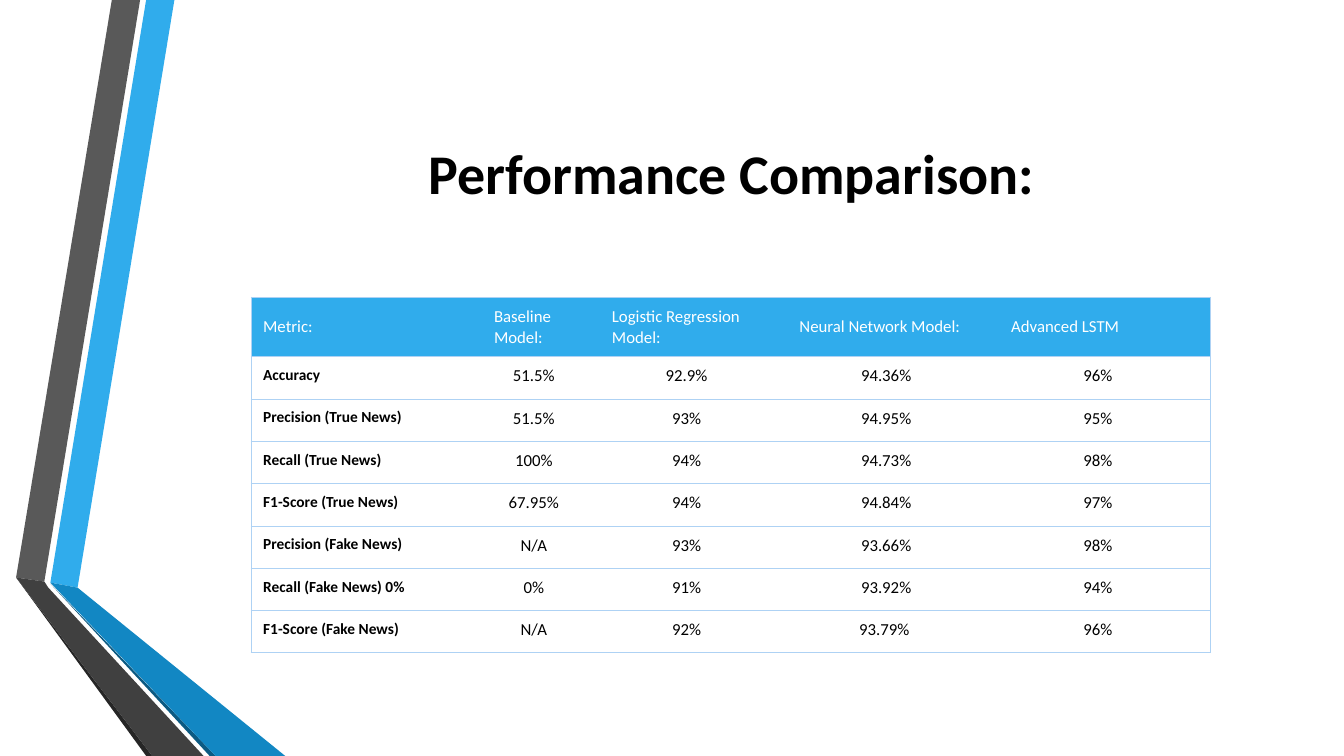
"""Build the performance comparison slide with its ribbon decoration and metric table."""
import dataclasses

import lxml.etree
import pptx
import pptx.dml.color
import pptx.enum.text
import pptx.oxml.ns
import pptx.presentation
import pptx.slide
import pptx.table
import pptx.text.text
import pptx.util

Inches = pptx.util.Inches
Anchor = pptx.enum.text.MSO_ANCHOR
Align = pptx.enum.text.PP_ALIGN


@dataclasses.dataclass(frozen=True)
class Theme:
    font: str = "Calibri"
    black: str = "000000"
    white: str = "FFFFFF"
    blue: str = "30ACEC"
    blue_fold: str = "1287C3"
    blue_shade: str = "0C5A82"
    gray: str = "595959"
    gray_fold: str = "404040"
    gray_shade: str = "262626"
    border: str = "AED2F4"
    border_width: float = 0.75
    title_size: float = 40
    value_size: float = 12
    metric_size: float = 11


@dataclasses.dataclass(frozen=True)
class Ribbon:
    color: str
    points: tuple[tuple[float, float], ...]


@dataclasses.dataclass(frozen=True)
class TextStyle:
    size: float
    color: str
    bold: bool = False
    align: Align = Align.LEFT
    anchor: Anchor = Anchor.TOP


THEME = Theme()
TITLE = TextStyle(THEME.title_size, THEME.black, True, Align.CENTER, Anchor.MIDDLE)
HEADER = TextStyle(THEME.value_size, THEME.white, anchor=Anchor.MIDDLE)
METRIC = TextStyle(THEME.metric_size, THEME.black, bold=True)
VALUE = TextStyle(THEME.value_size, THEME.black, align=Align.CENTER)

RIBBONS = (
    Ribbon(THEME.blue, ((0.5, 5.78), (0.77, 5.83), (1.73, 0), (1.45, 0))),
    Ribbon(THEME.gray, ((1.39, 0), (1.11, 0), (0.16, 5.73), (0.44, 5.77))),
    Ribbon(THEME.gray_shade, ((0.16, 5.73), (1.45, 7.5), (1.51, 7.5))),
    Ribbon(THEME.blue_shade, ((0.5, 5.79), (2.08, 7.5), (2.14, 7.5))),
    Ribbon(THEME.blue_fold, ((0.5, 5.78), (2.14, 7.5), (2.83, 7.5), (0.77, 5.83))),
    Ribbon(THEME.gray_fold, ((2.02, 7.5), (0.48, 5.83), (0.44, 5.77), (0.16, 5.73), (1.51, 7.5))),
)

COLUMN_WIDTHS = (2.29, 1.17, 1.86, 2.1, 2.1)
HEADER_HEIGHT = 0.59
ROW_HEIGHT = 0.42
ROWS = (
    ("Metric:", "Baseline Model:", "Logistic Regression Model:", "Neural Network Model:", "Advanced LSTM"),
    ("Accuracy", "51.5%", "92.9%", "94.36%", "96%"),
    ("Precision (True News)", "51.5%", "93%", "94.95%", "95%"),
    ("Recall (True News)", "100%", "94%", "94.73%", "98%"),
    ("F1-Score (True News)", "67.95%", "94%", "94.84%", "97%"),
    ("Precision (Fake News)", "N/A", "93%", "93.66%", "98%"),
    ("Recall (Fake News) 0%", "0%", "91%", "93.92%", "94%"),
    ("F1-Score (Fake News)", "N/A", "92%", "93.79% ", "96%"),
)


def rgb(color: str) -> pptx.dml.color.RGBColor:
    return pptx.dml.color.RGBColor.from_string(color)


def write_text(frame: pptx.text.text.TextFrame, text: str, style: TextStyle) -> None:
    frame.word_wrap = True
    paragraph = frame.paragraphs[0]
    paragraph.alignment = style.align
    run = paragraph.add_run()
    run.text = text
    run.font.name = THEME.font
    run.font.size = pptx.util.Pt(style.size)
    run.font.bold = style.bold
    run.font.color.rgb = rgb(style.color)


def draw_ribbon(slide: pptx.slide.Slide, ribbon: Ribbon) -> None:
    start, *others = [(Inches(x), Inches(y)) for x, y in ribbon.points]
    builder = slide.shapes.build_freeform(*start)
    builder.add_line_segments(others, close=True)
    shape = builder.convert_to_shape()
    shape.shadow.inherit = False
    shape.fill.solid()
    shape.fill.fore_color.rgb = rgb(ribbon.color)
    shape.line.fill.background()


def draw_title(slide: pptx.slide.Slide, text: str) -> None:
    title = slide.shapes.add_textbox(Inches(1.93), Inches(0.75), Inches(10.65), Inches(1.92))
    title.text_frame.vertical_anchor = TITLE.anchor
    write_text(title.text_frame, text, TITLE)


def set_borders(cell: pptx.table._Cell, visible_sides: str) -> None:
    properties = cell._tc.get_or_add_tcPr()
    qualify = pptx.oxml.ns.qn
    for side in "LRTB":
        line = lxml.etree.SubElement(properties, qualify(f"a:ln{side}"))
        line.set("w", str(pptx.util.Pt(THEME.border_width)))
        if side in visible_sides:
            fill = lxml.etree.SubElement(line, qualify("a:solidFill"))
            lxml.etree.SubElement(fill, qualify("a:srgbClr")).set("val", THEME.border)
        else:
            lxml.etree.SubElement(line, qualify("a:noFill"))


def fill_cell(cell: pptx.table._Cell, text: str, row: int, column: int) -> None:
    style = HEADER if row == 0 else METRIC if column == 0 else VALUE
    left = "L" if column == 0 else ""
    right = "R" if column == len(COLUMN_WIDTHS) - 1 else ""
    set_borders(cell, "TB" + left + right)
    cell.fill.solid()
    cell.fill.fore_color.rgb = rgb(THEME.blue if row == 0 else THEME.white)
    cell.margin_left, cell.margin_right = Inches(0.12), Inches(0.26)
    cell.margin_top = cell.margin_bottom = Inches(0.09)
    cell.vertical_anchor = style.anchor
    write_text(cell.text_frame, text, style)


def draw_table(slide: pptx.slide.Slide) -> None:
    heights = [HEADER_HEIGHT] + [ROW_HEIGHT] * (len(ROWS) - 1)
    frame = slide.shapes.add_table(
        len(ROWS), len(COLUMN_WIDTHS), Inches(2.49), Inches(2.95),
        Inches(sum(COLUMN_WIDTHS)), Inches(sum(heights)),
    )
    table = frame.table
    table.first_row = table.horz_banding = False
    for column, width in zip(table.columns, COLUMN_WIDTHS):
        column.width = Inches(width)
    for row, height in zip(table.rows, heights):
        row.height = Inches(height)
    for row_index, texts in enumerate(ROWS):
        for column_index, text in enumerate(texts):
            fill_cell(table.cell(row_index, column_index), text, row_index, column_index)


def build() -> pptx.presentation.Presentation:
    presentation = pptx.Presentation()
    presentation.slide_width, presentation.slide_height = Inches(13.33), Inches(7.5)
    slide = presentation.slides.add_slide(presentation.slide_layouts[6])
    for ribbon in RIBBONS:
        draw_ribbon(slide, ribbon)
    draw_title(slide, "Performance Comparison:")
    draw_table(slide)
    return presentation


if __name__ == "__main__":
    build().save("out.pptx")
